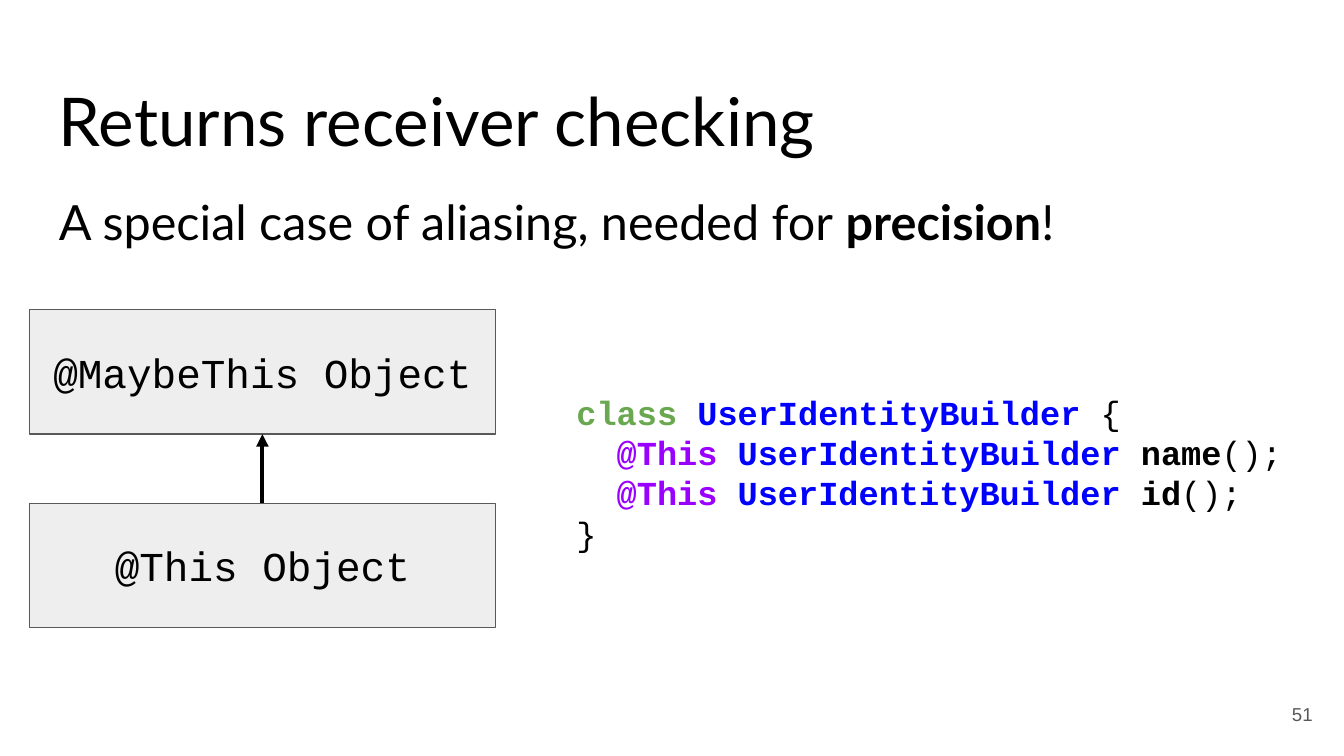
from lxml import etree
from pptx import Presentation
from pptx.dml.color import RGBColor
from pptx.enum.shapes import MSO_CONNECTOR, MSO_SHAPE
from pptx.enum.text import MSO_ANCHOR, PP_ALIGN
from pptx.oxml.ns import qn
from pptx.util import Pt

PX = 4572  # EMU per px, 200 px to the inch
RECT = MSO_SHAPE.RECTANGLE
STRAIGHT = MSO_CONNECTOR.STRAIGHT
TOP, MIDDLE = MSO_ANCHOR.TOP, MSO_ANCHOR.MIDDLE
LEFT, CENTER, RIGHT = PP_ALIGN.LEFT, PP_ALIGN.CENTER, PP_ALIGN.RIGHT
SIDE_TOP, SIDE_BOTTOM = 0, 2

SANS, CODE, NUMBER = "Lato", "Courier New", "Arial"
BLACK, GREY, PALE = "000000", "595959", "EEEEEE"
GREEN, BLUE, PURPLE = "6AA84F", "0000FF", "9900FF"


def rgb(value):
    return RGBColor.from_string(value)


class SlideBuilder:
    inset = 20
    code_indent = 60  # two characters of 18 pt code

    def __init__(self, slide):
        self.slide = slide

    def fill_frame(self, tf, lines, font, size, color=BLACK, align=LEFT, anchor=TOP):
        """Write lines, each a list of (text, bold, color) runs."""
        tf.word_wrap = True
        tf.vertical_anchor = anchor
        tf.margin_left = tf.margin_right = self.inset * PX
        tf.margin_top = tf.margin_bottom = self.inset * PX
        for i, runs in enumerate(lines):
            p = tf.paragraphs[0] if i == 0 else tf.add_paragraph()
            p.alignment = align
            for text, bold, run_color in runs:
                r = p.add_run()
                r.text = text
                r.font.name, r.font.size, r.font.bold = font, Pt(size), bold
                r.font.color.rgb = rgb(run_color or color)

    def text(self, x, y, w, h, lines, font, size, **style):
        sp = self.slide.shapes.add_textbox(x * PX, y * PX, w * PX, h * PX)
        self.fill_frame(sp.text_frame, lines, font, size, **style)
        return sp.text_frame

    def box(self, x, y, w, h, label):
        sp = self.slide.shapes.add_shape(RECT, x * PX, y * PX, w * PX, h * PX)
        sp.shadow.inherit = False
        sp.fill.solid()
        sp.fill.fore_color.rgb = rgb(PALE)
        sp.line.color.rgb = rgb(GREY)
        sp.line.width = Pt(0.75)
        self.fill_frame(sp.text_frame, [[(label, False, None)]], CODE, 22,
                        align=CENTER, anchor=MIDDLE)
        return sp

    def arrow_up(self, lower, upper):
        cxn = self.slide.shapes.add_connector(STRAIGHT, 0, 0, 0, 0)
        cxn.begin_connect(lower, SIDE_TOP)
        cxn.end_connect(upper, SIDE_BOTTOM)
        cxn.line.color.rgb = rgb(BLACK)
        cxn.line.width = Pt(2.25)
        etree.SubElement(cxn.line._get_or_add_ln(), qn("a:tailEnd"), type="triangle")
        etree.SubElement(cxn._element.spPr, qn("a:effectLst"))

    def code(self, x, y, w, h, lines):
        """Write code, with every line but the first and last indented."""
        tf = self.text(x, y, w, h, lines, CODE, 18)
        for p in tf.paragraphs[1:-1]:
            pPr = p._p.get_or_add_pPr()
            pPr.set("marL", str(self.code_indent * PX))
            pPr.set("indent", "0")


def method_line(name):
    return [("@This ", True, PURPLE), ("UserIdentityBuilder ", True, BLUE),
            (name, True, BLACK), ("();", False, BLACK)]


def main():
    prs = Presentation()
    prs.slide_width, prs.slide_height = 2000 * PX, 1125 * PX
    s = SlideBuilder(prs.slides.add_slide(prs.slide_layouts[6]))

    s.text(68, 98, 1864, 126, [[("Returns receiver checking", False, None)]], SANS, 36)
    intro = s.text(68, 253, 1864, 126, [[
        ("A special case of aliasing, needed for ", False, None),
        ("precision", True, None),
        ("!", False, None),
    ]], SANS, 26)
    intro.paragraphs[0].line_spacing = 1.15
    intro.paragraphs[0].space_after = Pt(16)
    s.text(1853, 1020, 120, 86, [[("51", False, None)]], NUMBER, 10,
           color=GREY, align=RIGHT, anchor=MIDDLE)

    supertype, subtype = [
        s.box(44, y, 693, 185, label)
        for y, label in ((461, "@MaybeThis Object"), (749, "@This Object"))
    ]
    s.arrow_up(subtype, supertype)

    s.code(838, 563, 1136, 656, [
        [("class ", True, GREEN), ("UserIdentityBuilder ", True, BLUE),
         ("{", False, BLACK)],
        method_line("name"),
        method_line("id"),
        [("}", False, BLACK)],
    ])
    prs.save("out.pptx")


if __name__ == "__main__":
    main()
